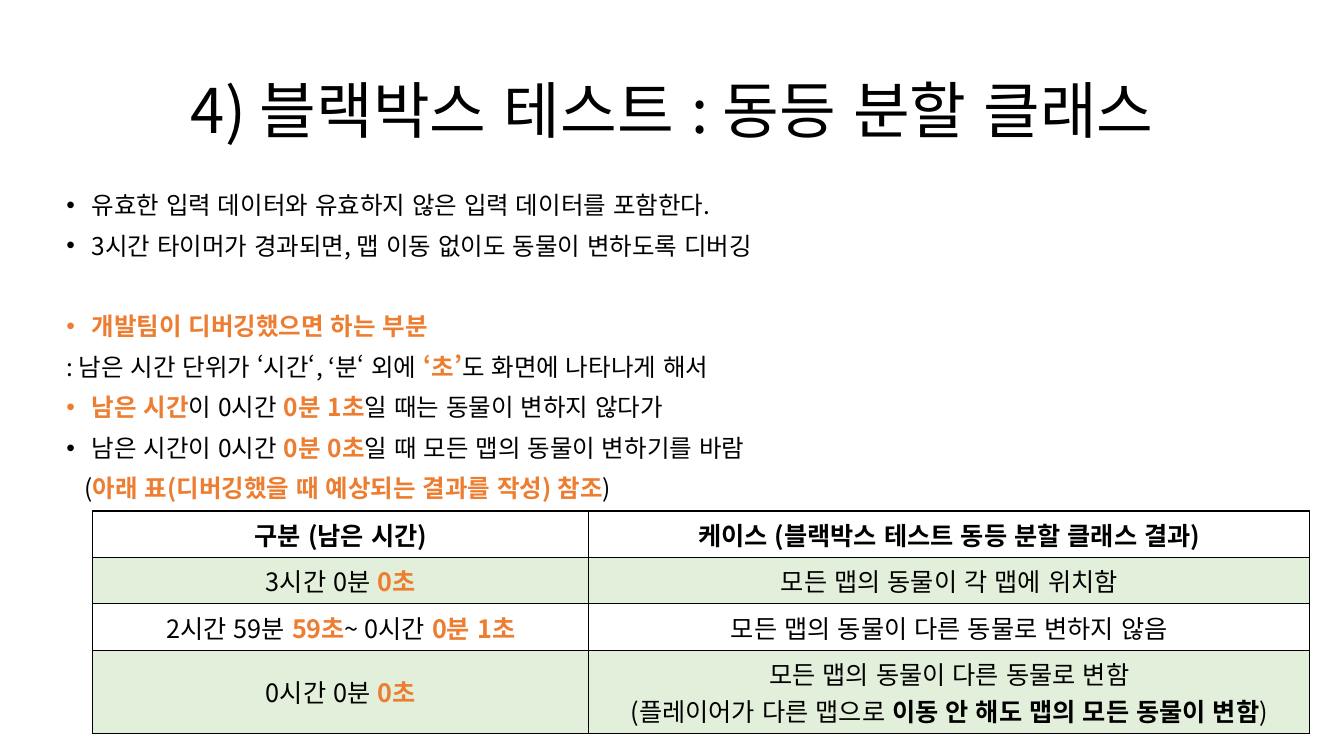
from pptx import Presentation
from pptx.dml.color import RGBColor
from pptx.enum.lang import MSO_LANGUAGE_ID
from pptx.enum.text import MSO_ANCHOR, PP_ALIGN
from pptx.oxml import parse_xml
from pptx.oxml.ns import nsdecls
from pptx.util import Pt

SCALE = 9144
FONT = "Noto Sans CJK KR"
BLACK, ORANGE, GREEN = "000000", "ED7D31", "E2EFDA"
LINE, GAP = 20, 8.9

TITLE = "4) 블랙박스 테스트 : 동등 분할 클래스"

NOTES = [
    (True, 0, [("유효한 입력 데이터와 유효하지 않은 입력 데이터를 포함한다.", "")]),
    (True, GAP, [("3시간 타이머가 경과되면, 맵 이동 없이도 동물이 변하도록 디버깅", "")]),
    (True, 2 * GAP + LINE, [("개발팀이 디버깅했으면 하는 부분", "o")]),
    (False, GAP, [(": 남은 시간 단위가 ‘시간‘, ‘분‘ 외에 ", ""), ("‘초’", "o"),
                  ("도 화면에 나타나게 해서", "")]),
    (True, GAP, [("남은 시간", "o"), ("이 0시간 ", ""), ("0분 1초", "o"),
                 ("일 때는 동물이 변하지 않다가", "")]),
    (True, GAP, [("남은 시간이 0시간 ", ""), ("0분 0초", "o"),
                 ("일 때 모든 맵의 동물이 변하기를 바람", "")]),
    (False, GAP, [("(", ""), ("아래 표(디버깅했을 때 예상되는 결과를 작성) 참조", "o"),
                  (")", "")]),
]

CASES = [
    [[[("구분 (남은 시간)", "b")]],
     [[("케이스 (블랙박스 테스트 동등 분할 클래스 결과)", "b")]]],
    [[[("3시간 0분 ", ""), ("0초", "o")]],
     [[("모든 맵의 동물이 각 맵에 위치함", "")]]],
    [[[("2시간 59분 ", ""), ("59초", "o"), ("~ 0시간 ", ""), ("0분 1초", "o")]],
     [[("모든 맵의 동물이 다른 동물로 변하지 않음", "")]]],
    [[[("0시간 0분 ", ""), ("0초", "o")]],
     [[("모든 맵의 동물이 다른 동물로 변함", "")],
      [("(플레이어가 다른 맵으로 ", ""), ("이동 안 해도 맵의 모든 동물이 변함", "b"),
       (")", "")]]],
]


def px(n):
    return n * SCALE


def paint(target, color):
    target.rgb = RGBColor.from_string(color)


def write(para, runs, size):
    for text, style in runs:
        run = para.add_run()
        run.text = text
        font = run.font
        font.size = Pt(size)
        font.bold = style != ""
        font.language_id = MSO_LANGUAGE_ID.KOREAN
        paint(font.color, ORANGE if style == "o" else BLACK)
        font.name = FONT
        props = run._r.get_or_add_rPr()
        props.set("altLang", "en-US")
        props.append(parse_xml(f'<a:ea {nsdecls("a")} typeface="{FONT}"/>'))


def lines(frame, count):
    return [frame.paragraphs[0]] + [frame.add_paragraph() for _ in range(count - 1)]


def head(slide, box):
    title = slide.shapes.title
    title.left, title.top, title.width, title.height = map(px, box)
    frame = title.text_frame
    frame.vertical_anchor = MSO_ANCHOR.MIDDLE
    para = frame.paragraphs[0]
    para.alignment = PP_ALIGN.CENTER
    para.line_spacing = 0.9
    write(para, [(TITLE, "")], 44)


def notes(slide, box):
    frame = slide.shapes.add_textbox(*map(px, box)).text_frame
    frame.word_wrap = True
    for para, (mark, gap, runs) in zip(lines(frame, len(NOTES)), NOTES):
        props = para._p.get_or_add_pPr()
        if mark:
            props.set("marL", str(px(25)))
            props.set("indent", str(px(-25)))
            props.append(parse_xml(f'<a:buFont {nsdecls("a")} typeface="Arial"/>'))
            props.append(parse_xml(f'<a:buChar {nsdecls("a")} char="•"/>'))
        elif runs[0][0] == "(":
            props.set("marL", str(px(18)))
        para.line_spacing = Pt(LINE)
        para.space_before = Pt(gap)
        write(para, runs, 17.5)


def edge(cell):
    props = cell._tc.get_or_add_tcPr()
    for i, side in enumerate("LRTB"):
        props.insert(i, parse_xml(
            f'<a:ln{side} {nsdecls("a")} w="12700"><a:solidFill>'
            f'<a:srgbClr val="{BLACK}"/></a:solidFill></a:ln{side}>'))


def cases(slide, box, wide, tall):
    left, top, width, height = map(px, box)
    grid = slide.shapes.add_table(len(CASES), 2, left, top, width, height).table
    grid.columns[0].width = px(wide)
    grid.columns[1].width = width - px(wide)
    for r, row in enumerate(CASES):
        last = r == len(CASES) - 1
        grid.rows[r].height = height - px(tall) * r if last else px(tall)
        for c, paras in enumerate(row):
            cell = grid.cell(r, c)
            if r % 2:
                cell.fill.solid()
                paint(cell.fill.fore_color, GREEN)
            else:
                cell.fill.background()
            edge(cell)
            if r:
                cell.vertical_anchor = MSO_ANCHOR.MIDDLE
            for para, runs in zip(lines(cell.text_frame, len(paras)), paras):
                para.alignment = PP_ALIGN.CENTER
                write(para, runs, 18)


def main():
    deck = Presentation()
    deck.slide_width, deck.slide_height = px(1333), px(750)
    slide = deck.slides.add_slide(deck.slide_layouts[5])
    head(slide, (92, 40, 1150, 145))
    notes(slide, (56, 185, 1243, 548))
    cases(slide, (92, 507, 1207, 221), 492, 46)
    deck.save("out.pptx")


if __name__ == "__main__":
    main()
